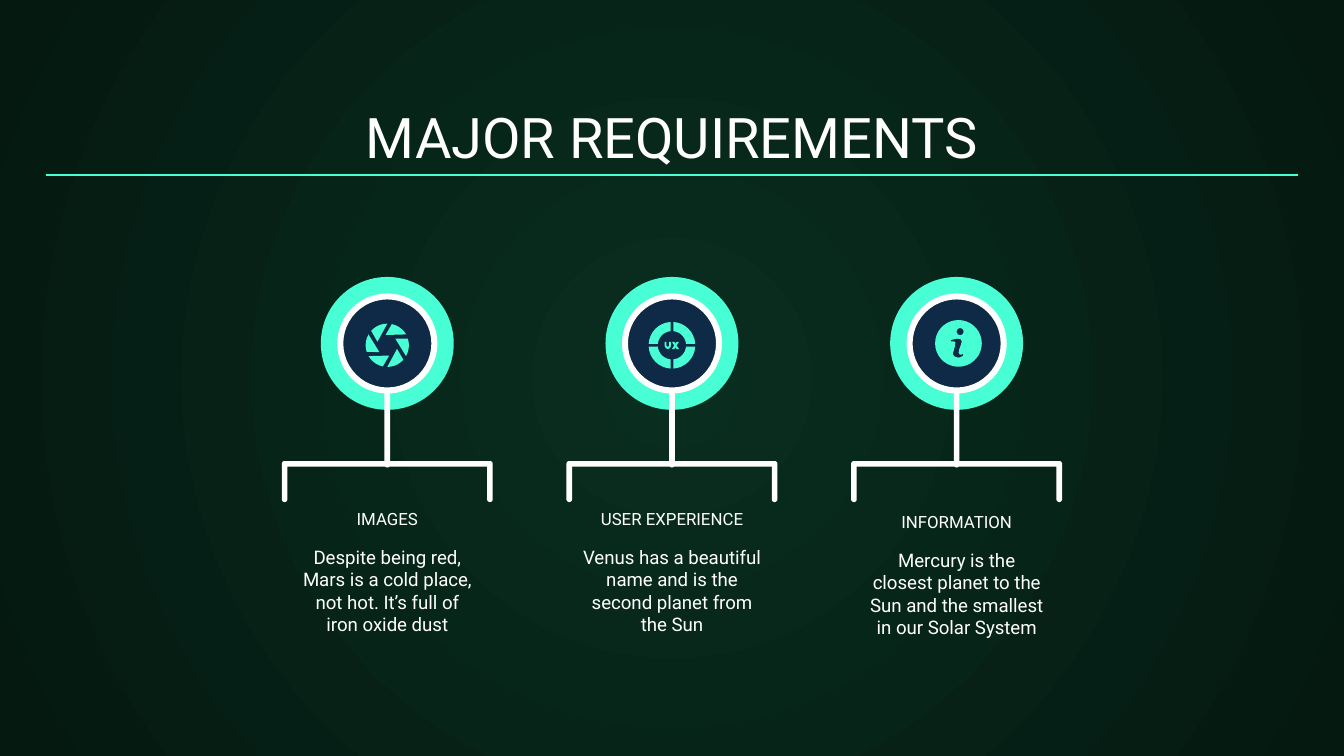
import math

import pptx
import pptx.dml.color
import pptx.enum.shapes
import pptx.enum.text
import pptx.oxml.ns
import pptx.util
from lxml import etree

Pt = pptx.util.Pt
SHAPE = pptx.enum.shapes.MSO_SHAPE
ANCHOR = pptx.enum.text.MSO_ANCHOR
qn = pptx.oxml.ns.qn

# Content
TITLE = "MAJOR REQUIREMENTS"
COLUMNS = [
    # label, body, icon, downward shift of the text
    ("IMAGES", "Despite being red, Mars is a cold place, not hot. It’s full of iron oxide dust", "aperture", 0),
    ("USER EXPERIENCE", "Venus has a beautiful name and is the second planet from the Sun", "ux", 0),
    ("INFORMATION", "Mercury is the closest planet to the Sun and the smallest in our Solar System", "info", 1.6),
]
COLORS = {
    "white": "FFFFFF",
    "mint": "48FFD5",
    "navy": "0E2A47",
    "glow": "092E20",
    "edge": "051911",
}

# Layout, in points
WIDTH, HEIGHT = 720, 405
MARGIN = 24.5
COLUMN_STEP = 152.5
BADGE_Y = 184
DISC_RADIUS, NAVY_RADIUS, RING_RADIUS = 35.6, 25.2, 26.8
RING_THICKNESS = 0.06
ICON_RADIUS = 12.5

# Small glyph outlines, relative to the centre of their icon
LETTER_U = [(-3.9, -1.8), (-2.9, -1.8), (-2.9, 0.4), (-2.2, 0.9), (-1.5, 0.4), (-1.5, -1.8),
            (-0.5, -1.8), (-0.5, 0.4), (-1.1, 1.6), (-2.2, 2), (-3.3, 1.6), (-3.9, 0.4)]
LETTER_X = [(0.1, -1.8), (1.3, -1.8), (1.9, -0.8), (2.5, -1.8), (3.7, -1.8), (2.5, 0.1),
            (3.8, 2), (2.5, 2), (1.9, 1), (1.3, 2), (0, 2), (1.2, 0.1)]
INFO_STEM = [(-1.1, -2.5), (1, -2.4), (1.8, -1.1), (1.2, 1.1), (0.4, 3.2), (0.1, 5), (0.7, 6), (1.8, 6),
             (2.5, 5.4), (2.5, 6.6), (1.1, 7.4), (-0.4, 7.6), (-2.3, 6.9), (-3.1, 5.6), (-2.5, 3.8),
             (-1.8, 1.2), (-1.7, -0.6), (-2.4, -1.1), (-4, -1.1), (-4, -1.8)]


def color(name):
    return pptx.dml.color.RGBColor.from_string(COLORS[name])


def paint(shape, fill):
    shape.shadow.inherit = False
    shape.fill.solid()
    shape.fill.fore_color.rgb = color(fill)
    shape.line.fill.background()


def arc(x, y, radius, start, end):
    """Points along an arc; degrees run clockwise from the right."""
    steps = max(4, round(abs(end - start) / 10))
    angles = [math.radians(start + (end - start) * i / steps) for i in range(steps + 1)]
    return [(x + radius * math.cos(a), y + radius * math.sin(a)) for a in angles]


def shift(points, x, y):
    return [(x + dx, y + dy) for dx, dy in points]


def add_outline(slide, contours, fill):
    """One filled freeform; contours after the first are holes."""
    units = [[(px * 100, py * 100) for px, py in points] for points in contours]
    builder = slide.shapes.build_freeform(*units[0][0], scale=Pt(1) / 100)
    for index, points in enumerate(units):
        if index:
            builder.move_to(*points[0])
        builder.add_line_segments(points[1:], close=True)
    paint(builder.convert_to_shape(), fill)


def add_preset(slide, kind, x, top, width, height, fill):
    shape = slide.shapes.add_shape(kind, Pt(x - width / 2), Pt(top), Pt(width), Pt(height))
    paint(shape, fill)
    return shape


def add_circle(slide, kind, x, radius, fill):
    return add_preset(slide, kind, x, BADGE_Y - radius, radius * 2, radius * 2, fill)


def write(shape, text, box, size, anchor):
    shape.left, shape.top, shape.width, shape.height = [Pt(value) for value in box]
    frame = shape.text_frame
    frame.text = text
    frame_format = {"word_wrap": True, "auto_size": pptx.enum.text.MSO_AUTO_SIZE.NONE,
                    "vertical_anchor": anchor}
    for side in ("left", "top", "right", "bottom"):
        frame_format["margin_" + side] = Pt(7.2)
    for name, value in frame_format.items():
        setattr(frame, name, value)
    paragraph = frame.paragraphs[0]
    paragraph.alignment = pptx.enum.text.PP_ALIGN.CENTER
    font = paragraph.runs[0].font
    for name, value in {"name": "Roboto", "size": Pt(size), "bold": False}.items():
        setattr(font, name, value)
    font.color.rgb = color("white")


def add_text(slide, text, box, size, anchor):
    write(slide.shapes.add_textbox(0, 0, 0, 0), text, box, size, anchor)


def draw_aperture(slide, x):
    y = BADGE_Y + 1
    for turn in range(0, 360, 60):
        blade = arc(x, y, 11.6, 162 + turn, 210 + turn) + arc(x, y, 5.6, 140 + turn, 140 + turn)[:1]
        add_outline(slide, [blade], "mint")


def draw_ux(slide, x):
    y, inner, half_gap = BADGE_Y + 1, 7.6, 0.75
    outer_gap = math.degrees(math.asin(half_gap / ICON_RADIUS))
    inner_gap = math.degrees(math.asin(half_gap / inner))
    for turn in range(0, 360, 90):
        sector = arc(x, y, ICON_RADIUS, turn + outer_gap, turn + 90 - outer_gap)
        sector += arc(x, y, inner, turn + 90 - inner_gap, turn + inner_gap)
        add_outline(slide, [sector], "mint")
    for letter in (LETTER_U, LETTER_X):
        add_outline(slide, [shift(letter, x, y)], "mint")


def draw_info(slide, x):
    x += 1
    disc = arc(x, BADGE_Y, ICON_RADIUS, 0, 360)
    dot = arc(x + 0.9, BADGE_Y - 6.3, 1.85, 360, 0)
    add_outline(slide, [disc, dot, shift(INFO_STEM, x, BADGE_Y)[::-1]], "mint")


ICONS = {"aperture": draw_aperture, "ux": draw_ux, "info": draw_info}


def draw_column(slide, x, label, body, icon, drop):
    # Bracket
    bracket = arc(x - 55, 248.5, 1.5, 180, 270) + arc(x + 55, 248.5, 1.5, 270, 360)
    bracket += arc(x + 55, 267.5, 1.5, 0, 180) + [(x + 53.5, 250), (x - 53.5, 250)]
    bracket += arc(x - 55, 267.5, 1.5, 0, 180)
    add_outline(slide, [bracket], "white")
    # Badge, with its stem running under the navy disc
    add_circle(slide, SHAPE.OVAL, x, DISC_RADIUS, "mint")
    stem = add_preset(slide, SHAPE.ROUNDED_RECTANGLE, x, 178.5, 3, 72, "white")
    stem.adjustments[0] = 0.5
    add_circle(slide, SHAPE.OVAL, x, NAVY_RADIUS, "navy")
    add_circle(slide, SHAPE.DONUT, x, RING_RADIUS, "white").adjustments[0] = RING_THICKNESS
    ICONS[icon](slide, x)
    # Label and body
    add_text(slide, label, (x - 82, 275.6 + drop, 164, 15.2), 9, ANCHOR.BOTTOM)
    add_text(slide, body, (x - 54.8, 285.2 + drop, 109.6, 39.6), 10, ANCHOR.TOP)


def main():
    presentation = pptx.Presentation()
    presentation.slide_width, presentation.slide_height = Pt(WIDTH), Pt(HEIGHT)
    slide = presentation.slides.add_slide(presentation.slide_layouts.get_by_name("Title Only"))

    # Radial background
    background = slide.background.fill
    background.gradient()
    for stop, name in zip(background.gradient_stops, ("glow", "edge")):
        stop.color.rgb = color(name)
    gradient = slide.element.find(".//" + qn("a:gradFill"))
    gradient.remove(gradient.find(qn("a:lin")))
    circle = etree.SubElement(gradient, qn("a:path"), {"path": "circle"})
    etree.SubElement(circle, qn("a:fillToRect"), {side: "50000" for side in "ltrb"})

    # Title and rule
    write(slide.shapes.title, TITLE, (MARGIN, 50.4, WIDTH - 2 * MARGIN, 47.5), 30, ANCHOR.BOTTOM)
    rule = slide.shapes.add_connector(pptx.enum.shapes.MSO_CONNECTOR.STRAIGHT,
                                      Pt(MARGIN), Pt(93.75), Pt(WIDTH - MARGIN), Pt(93.75))
    rule.line.color.rgb = color("mint")
    rule.line.width = Pt(0.75)
    etree.SubElement(rule.element.find(qn("p:spPr")), qn("a:effectLst"))

    # Three columns around the slide's centre
    for index, column in enumerate(COLUMNS):
        draw_column(slide, WIDTH / 2 + (index - 1) * COLUMN_STEP, *column)

    presentation.save("out.pptx")


if __name__ == "__main__":
    main()
